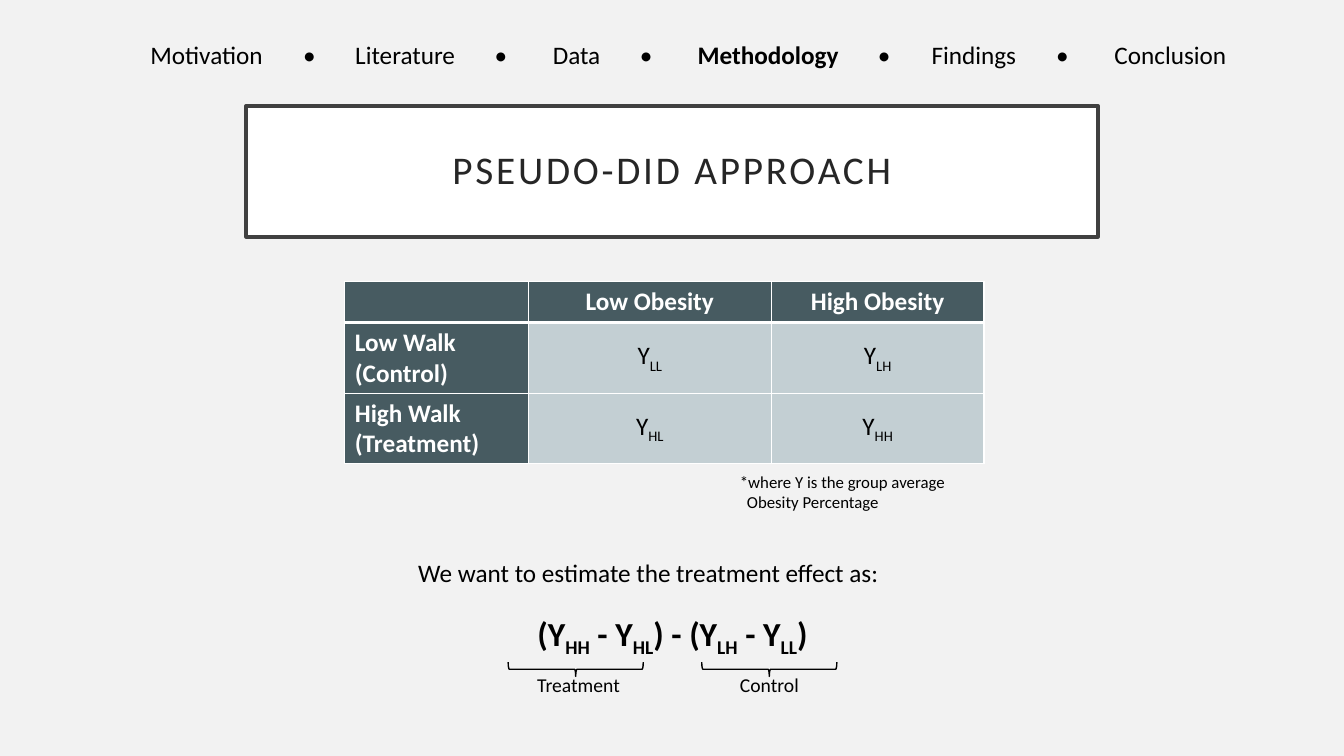
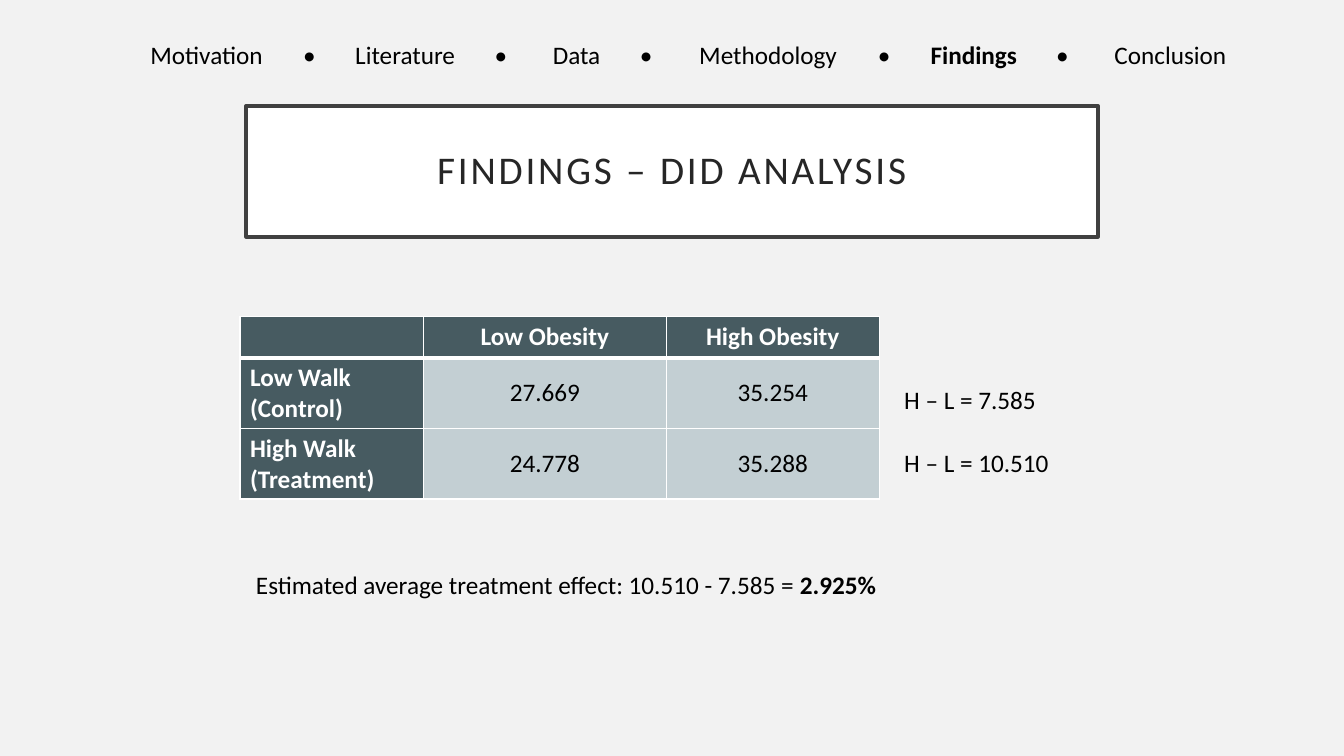
"""Build two slides on the pseudo-DiD approach and its findings."""
from pptx import Presentation
from pptx.dml.color import RGBColor
from pptx.enum.shapes import MSO_SHAPE
from pptx.enum.text import MSO_ANCHOR, PP_ALIGN
from pptx.oxml.ns import qn
from pptx.util import Inches, Pt
from lxml.etree import SubElement

BACKGROUND = RGBColor(0xF2, 0xF2, 0xF2)
WHITE = RGBColor(0xFF, 0xFF, 0xFF)
BLACK = RGBColor(0, 0, 0)
FRAME = RGBColor(0x40, 0x40, 0x40)
TITLE = RGBColor(0x26, 0x26, 0x26)
HEADER = RGBColor(0x47, 0x5B, 0x61)
BODY = RGBColor(0xC3, 0xCF, 0xD3)

SECTIONS = ["Motivation", "Literature", "Data", "Methodology", "Findings", "Conclusion"]
NAV_LEFT = 0.88
NAV_CENTRES = [2.05, 3.07, 4.02, 4.97, 5.72, 6.41, 7.62, 8.77, 9.66, 10.54, 11.61]
COLUMNS = [1.82, 2.41, 2.11]
ROWS = [0.41, 0.7, 0.7]
HEADINGS = ["", "Low Obesity", "High Obesity"]
GROUPS = ["Low Walk (Control)", "High Walk (Treatment)"]


def add_runs(p, runs, size, color=BLACK, bold=False):
    """Add (text, style) runs; style is empty, "bold" or "sub"."""
    for text, style in runs:
        r = p.add_run()
        r.text = text
        r.font.name = "Calibri"
        r.font.size = Pt(size)
        r.font.color.rgb = color
        r.font.bold = bold or style == "bold"
        if style == "sub":
            r.font._element.set("baseline", "-25000")


def add_text(s, left, top, width, height, runs, size=18, bold=False, align=PP_ALIGN.LEFT):
    """Add a wrapped text box and return its paragraph."""
    tf = s.shapes.add_textbox(Inches(left), Inches(top), Inches(width), Inches(height)).text_frame
    tf.word_wrap = True
    p = tf.paragraphs[0]
    p.alignment = align
    add_runs(p, runs, size, bold=bold)
    return p


prs = Presentation()
prs.slide_width, prs.slide_height = Inches(13.33), Inches(7.5)

symbols = [[[("Y", ""), (sub, "sub")] for sub in row] for row in (["LL", "LH"], ["HL", "HH"])]
averages = [[[(value, "")] for value in row]
            for row in (["27.669", "35.254"], ["24.778", "35.288"])]
pages = [
    ("PSEUDO-DID APPROACH", "Methodology", 3.42, 2.79, symbols),
    ("FINDINGS – DID ANALYSIS", "Findings", 2.38, 3.14, averages),
]

slides = []
for title, current, left, top, values in pages:
    s = prs.slides.add_slide(prs.slide_layouts[6])
    slides.append(s)
    s.background.fill.solid()
    s.background.fill.fore_color.rgb = BACKGROUND

    sp = s.shapes.add_shape(MSO_SHAPE.RECTANGLE, Inches(2.44), Inches(1.05), Inches(8.45), Inches(1.3))
    sp.shadow.inherit = False
    sp.fill.solid()
    sp.fill.fore_color.rgb = WHITE
    sp.line.color.rgb = FRAME
    sp.line.width = Pt(2.5)
    tf = sp.text_frame
    tf.word_wrap = True
    tf.vertical_anchor = MSO_ANCHOR.MIDDLE
    tf.margin_left = tf.margin_right = tf.margin_top = tf.margin_bottom = Inches(0.2)
    p = tf.paragraphs[0]
    p.alignment = PP_ALIGN.CENTER
    p.line_spacing = 0.9
    add_runs(p, [(title, "")], 28, TITLE)
    p.runs[0].font._element.set("spc", "200")

    runs = []
    for i, section in enumerate(SECTIONS):
        runs.append(("\t•\t" if i else "\t", ""))
        runs.append((section, "bold" if section == current else ""))
    p = add_text(s, NAV_LEFT, 0.34, 11.92, 0.4, runs)
    tabs = SubElement(p._p.get_or_add_pPr(), qn("a:tabLst"))
    for centre in NAV_CENTRES:
        SubElement(tabs, qn("a:tab"), pos=str(Inches(centre - NAV_LEFT - 0.1)), algn="ctr")

    table = s.shapes.add_table(3, 3, Inches(left), Inches(top),
                               Inches(sum(COLUMNS)), Inches(sum(ROWS))).table
    table.first_col = True
    table.horz_banding = False
    for column, width in zip(table.columns, COLUMNS):
        column.width = Inches(width)
    for row, height in zip(table.rows, ROWS):
        row.height = Inches(height)
    content = [[[(h, "")] if h else [] for h in HEADINGS]]
    content += [[[(group, "")]] + row for group, row in zip(GROUPS, values)]
    for i, row in enumerate(content):
        for j, runs in enumerate(row):
            cell = table.cell(i, j)
            heading = i == 0 or j == 0
            tcPr = cell._tc.get_or_add_tcPr()
            for side in "LRTB":
                thick = (i, side) in [(0, "B"), (1, "T")]
                ln = SubElement(tcPr, qn("a:ln" + side), w=str(Pt(3 if thick else 1)))
                SubElement(SubElement(ln, qn("a:solidFill")), qn("a:srgbClr"), val=str(WHITE))
            cell.fill.solid()
            cell.fill.fore_color.rgb = HEADER if heading else BODY
            cell.vertical_anchor = MSO_ANCHOR.TOP if heading else MSO_ANCHOR.MIDDLE
            p = cell.text_frame.paragraphs[0]
            p.alignment = PP_ALIGN.CENTER if j else PP_ALIGN.LEFT
            add_runs(p, runs, 18, WHITE if heading else BLACK, heading)

approach, findings = slides

p = add_text(approach, 7.24, 4.63, 4.16, 0.5, [("*where Y is the group average", "")], 12)
p.add_line_break()
add_runs(p, [("Obesity Percentage", "")], 12)
pPr = p._p.get_or_add_pPr()
pPr.set("marL", str(Inches(0.07)))
pPr.set("indent", str(Inches(-0.07)))

add_text(approach, 4.05, 5.48, 5.24, 0.4, [("We want to estimate the treatment effect as:", "")])
formula = ["(Y", "HH", " - Y", "HL", ") - (Y", "LH", " - Y", "LL", ")"]
add_text(approach, 4.65, 6.03, 4.04, 0.5,
         [(part, "sub" if i % 2 else "") for i, part in enumerate(formula)],
         24, True, PP_ALIGN.CENTER)

for label, brace_left, label_left in [("Treatment", 5.64, 5.23), ("Control", 7.56, 7.24)]:
    sp = approach.shapes.add_shape(MSO_SHAPE.RIGHT_BRACE, Inches(brace_left), Inches(5.97),
                                   Inches(0.14), Inches(1.34))
    sp.rotation = 90
    sp.shadow.inherit = False
    sp.fill.background()
    sp.line.color.rgb = BLACK
    sp.line.width = Pt(1)
    add_text(approach, label_left, 6.63, 1.06, 0.34, [(label, "")], 14)

for top, difference in [(3.76, "7.585"), (4.39, "10.510")]:
    add_text(findings, 8.87, top, 2.77, 0.4, [("H – L = " + difference, "")])
add_text(findings, 2.44, 5.6, 7.38, 0.4,
         [("Estimated average treatment effect: 10.510 - 7.585 = ", ""), ("2.925%", "bold")])

prs.save("out.pptx")
